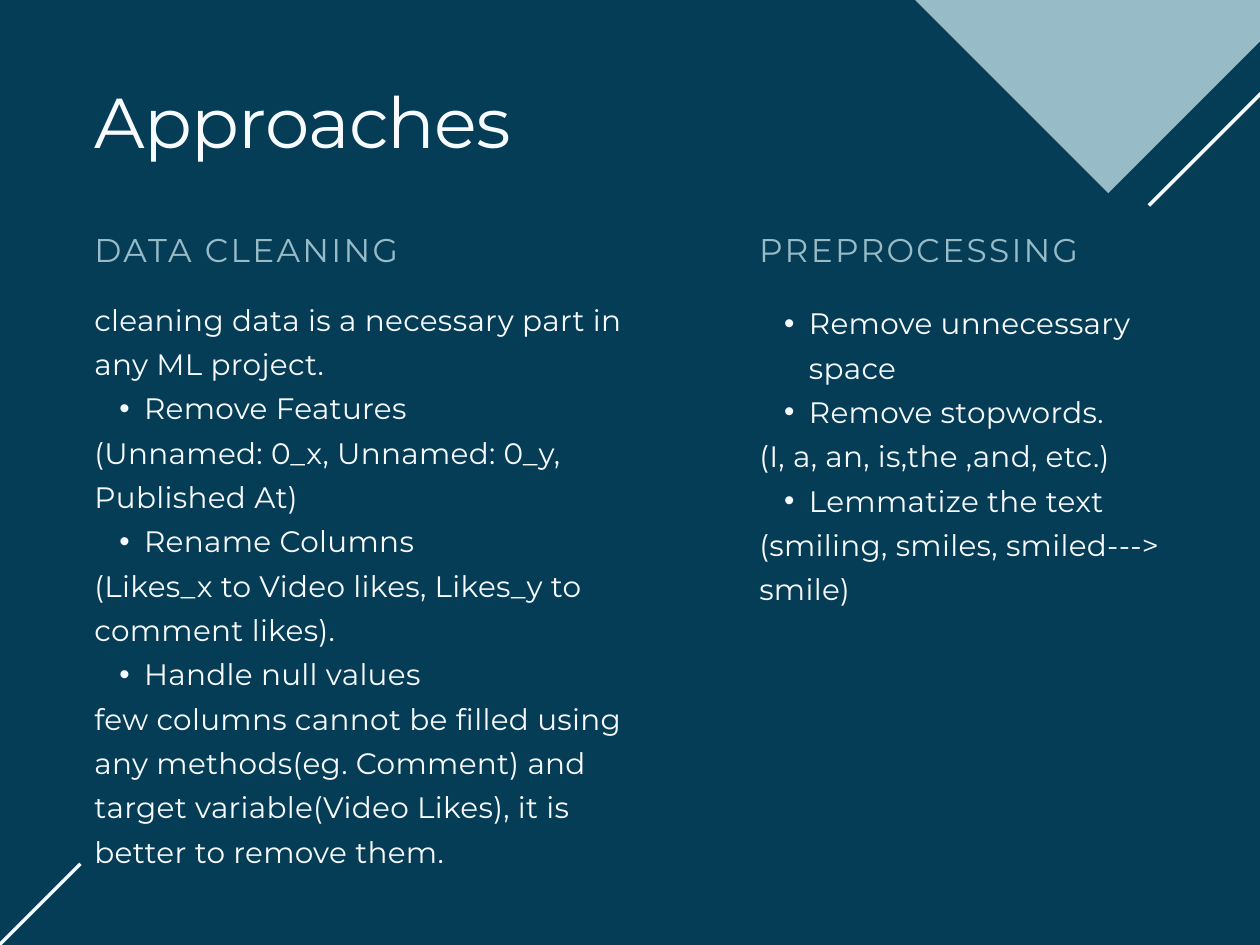
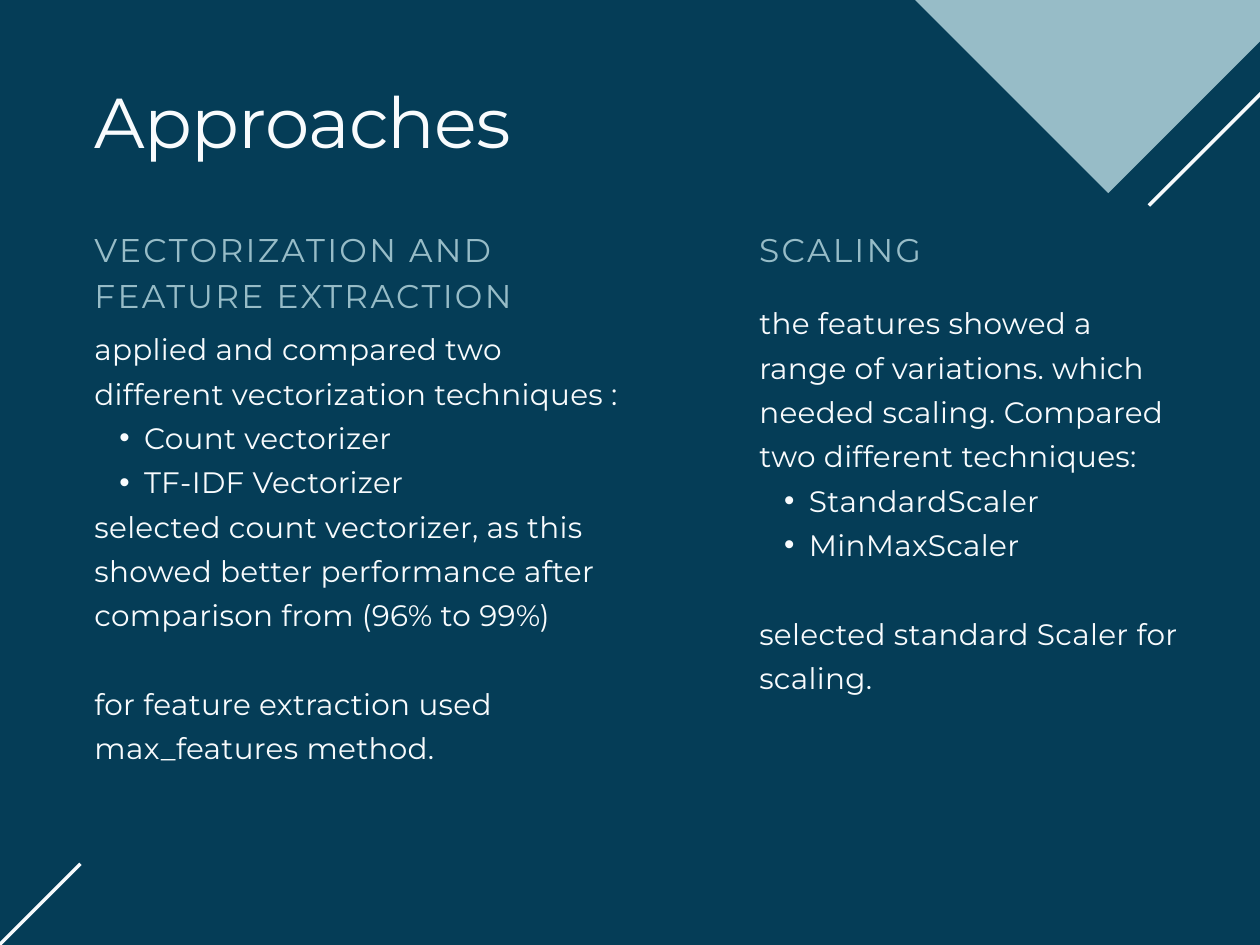
from pptx import Presentation
from pptx.dml.color import RGBColor
from pptx.enum import shapes, text
from pptx.oxml import parse_xml
from pptx.oxml.ns import nsdecls
from pptx.util import Inches, Pt

NAVY = RGBColor(0x05, 0x3D, 0x57)
MIST = RGBColor(0x97, 0xBC, 0xC7)
SNOW = RGBColor(0xF8, 0xFB, 0xFD)
FONT = "Montserrat"

PLAIN, BULLET, SPACED = "plain", "bullet", "spaced"
TITLE = "Approaches"
SLIDES = [
    [
        {
            "heading": "DATA CLEANING", "heading_size": (2.67, 0.38),
            "body_top": 2.48, "body_height": 4.74,
            "body": [
                (PLAIN, "cleaning data is a necessary part in any ML project."),
                (BULLET, "Remove Features"),
                (PLAIN, "(Unnamed: 0_x, Unnamed: 0_y, Published At)"),
                (BULLET, "Rename Columns"),
                (PLAIN, "(Likes_x to Video likes, Likes_y to comment likes)."),
                (BULLET, "Handle null values"),
                (PLAIN, "few columns cannot be filled using any methods(eg. Comment) "
                        "and target variable(Video Likes), it is better to remove them."),
            ],
        },
        {
            "heading": "PREPROCESSING", "heading_size": (2.96, 0.38),
            "body_top": 2.51, "body_height": 3.02,
            "body": [
                (BULLET, "Remove unnecessary space"),
                (BULLET, "Remove stopwords."),
                (PLAIN, "(I, a, an, is,the ,and, etc.)"),
                (BULLET, "Lemmatize the text"),
                (PLAIN, "(smiling, smiles, smiled---> smile)"),
            ],
        },
    ],
    [
        {
            "heading": "VECTORIZATION AND FEATURE EXTRACTION", "heading_size": (4.12, 0.76),
            "body_top": 2.73, "body_height": 3.64,
            "body": [
                (PLAIN, "applied and compared two different vectorization techniques :"),
                (BULLET, "Count vectorizer"),
                (BULLET, "TF-IDF Vectorizer"),
                (PLAIN, "selected count vectorizer, as this showed better performance "
                        "after comparison from (96% to 99%)"),
                (SPACED, "for feature extraction used max_features method."),
            ],
        },
        {
            "heading": "SCALING", "heading_size": (2.67, 0.38),
            "body_top": 2.51, "body_height": 3.37,
            "body": [
                (PLAIN, "the features showed a range of variations. which needed "
                        "scaling. Compared two different techniques:"),
                (BULLET, "StandardScaler"),
                (BULLET, "MinMaxScaler"),
                (SPACED, "selected standard Scaler for scaling."),
            ],
        },
    ],
]

COLUMNS = [(0.8, 4.53), (6.43, 3.62)]
HEADING_TOP = 1.89
TITLE_BOX = (0.8, 0.66, 6.17, 0.71)
CORNER_PIECES = [
    ((7.44, -3.06, 3.89, 3.89), MIST),
    ((9.16, 0.35, 3.89, 0.03), SNOW),
    ((-0.53, 7.8, 1.42, 0.03), SNOW),
]
TITLE_STYLE = {"size": 43, "line": 51.6, "color": SNOW, "tracking": -0.4}
HEADING_STYLE = {"size": 20, "line": 28, "color": MIST, "tracking": 1.4}
BODY_STYLE = {"size": 18, "line": 27, "color": SNOW, "tracking": 0.2}


def place(shape, box):
    shape.left, shape.top, shape.width, shape.height = map(Inches, box)


def add_bullet(paragraph):
    paragraph.level = 1
    properties = paragraph._p.get_or_add_pPr()
    properties.set("marL", str(Inches(0.42)))
    properties.set("indent", str(Inches(-0.21)))
    properties.append(parse_xml(f'<a:buFont {nsdecls("a")} typeface="Arial"/>'))
    properties.append(parse_xml(f'<a:buChar {nsdecls("a")} char="•"/>'))


def write(shape, paragraphs, style):
    frame = shape.text_frame
    frame.word_wrap = True
    frame.auto_size = text.MSO_AUTO_SIZE.SHAPE_TO_FIT_TEXT
    frame.vertical_anchor = text.MSO_ANCHOR.TOP
    frame.margin_left = frame.margin_right = frame.margin_top = frame.margin_bottom = 0
    for index, (kind, words) in enumerate(paragraphs):
        paragraph = frame.add_paragraph() if index else frame.paragraphs[0]
        paragraph.alignment = text.PP_ALIGN.LEFT
        paragraph.line_spacing = Pt(style["line"])
        paragraph.space_before = Pt(style["line"] if kind == SPACED else 0)
        if kind == BULLET:
            add_bullet(paragraph)
        run = paragraph.add_run()
        run.text = words
        run.font.name = FONT
        run.font.size = Pt(style["size"])
        run.font.color.rgb = style["color"]
        run._r.get_or_add_rPr().set("spc", str(round(style["tracking"] * 100)))


def add_text(slide, box, paragraphs, style):
    write(slide.shapes.add_textbox(*map(Inches, box)), paragraphs, style)


def add_corners(slide):
    for box, color in CORNER_PIECES:
        piece = slide.shapes.add_shape(shapes.MSO_SHAPE.RECTANGLE, *map(Inches, box))
        piece.rotation = 315
        piece.shadow.inherit = False
        piece.fill.solid()
        piece.fill.fore_color.rgb = color
        piece.line.fill.background()


def add_approach_slide(deck, topics):
    slide = deck.slides.add_slide(deck.slide_layouts.get_by_name("Title Only"))
    add_corners(slide)
    place(slide.shapes.title, TITLE_BOX)
    write(slide.shapes.title, [(PLAIN, TITLE)], TITLE_STYLE)
    for (left, width), topic in zip(COLUMNS, topics):
        add_text(slide, (left, HEADING_TOP, *topic["heading_size"]),
                 [(PLAIN, topic["heading"])], HEADING_STYLE)
        add_text(slide, (left, topic["body_top"], width, topic["body_height"]),
                 topic["body"], BODY_STYLE)


def main():
    deck = Presentation()
    deck.slide_width, deck.slide_height = Inches(10.67), Inches(8)
    backdrop = deck.slide_master.background.fill
    backdrop.solid()
    backdrop.fore_color.rgb = NAVY
    for topics in SLIDES:
        add_approach_slide(deck, topics)
    deck.save("out.pptx")


if __name__ == "__main__":
    main()
